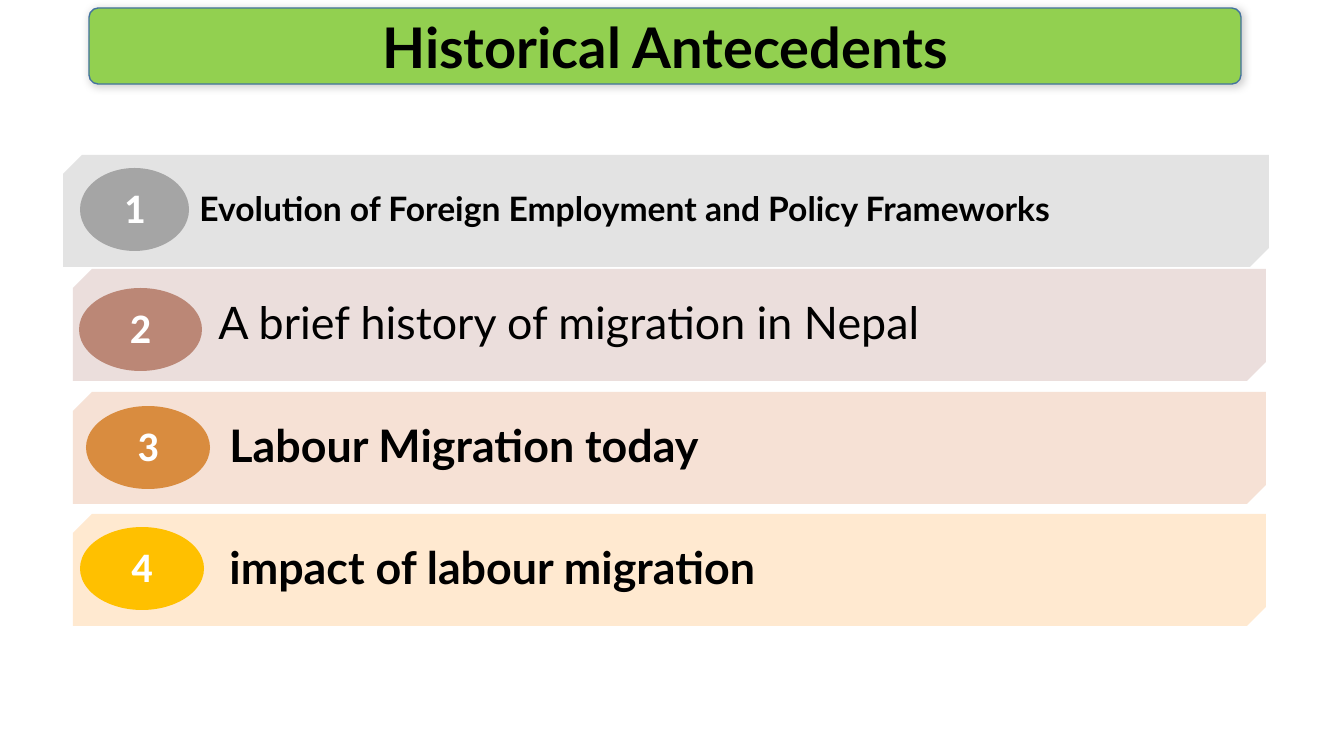
from dataclasses import dataclass

from lxml import etree
from pptx import Presentation
from pptx import util as u
from pptx.dml.color import RGBColor
from pptx.enum import shapes, text
from pptx.oxml import ns

KINDS = shapes.MSO_SHAPE
ALIGN = text.PP_ALIGN


@dataclass(frozen=True)
class Theme:
    heading: str = "Lato"
    digits: str = "Calibri"
    black: str = "000000"
    white: str = "FFFFFF"
    green: str = "92D050"
    outline: str = "43739E"
    title_size: int = 40
    large_size: int = 32
    digit_size: int = 30
    small_size: int = 24


THEME = Theme()


def px(count):
    return u.Emu(round(count * 914400 / 100.8))


class SlideBuilder:
    def __init__(self, deck, theme):
        self.theme = theme
        self.page = deck.slides.add_slide(deck.slide_layouts[6])

    def block(self, kind, place, fill, adjust=()):
        box = self.page.shapes.add_shape(kind, *map(px, place))
        box.shadow.inherit = False
        box.fill.solid()
        box.fill.fore_color.rgb = RGBColor.from_string(fill)
        box.line.fill.background()
        for index, value in enumerate(adjust):
            box.adjustments[index] = value
        return box

    def label(self, box, words, color, align=ALIGN.CENTER, inset=0, spacing=1.0, **font):
        frame = box.text_frame
        layout = dict(word_wrap=True, vertical_anchor=text.MSO_ANCHOR.MIDDLE,
                      margin_left=px(inset), margin_right=0, margin_top=0, margin_bottom=0)
        para = frame.paragraphs[0]
        span = para.add_run()
        span.text = words
        span.font.color.rgb = RGBColor.from_string(color)
        font["size"] = u.Pt(font["size"])
        formats = ((frame, layout), (para, dict(alignment=align, line_spacing=spacing)),
                   (span.font, font))
        for target, values in formats:
            for name, value in values.items():
                setattr(target, name, value)

    def soft_shadow(self, box):
        effects = box._element.spPr.find(ns.qn("a:effectLst"))
        shadow = etree.SubElement(effects, ns.qn("a:outerShdw"), blurRad=str(u.Pt(6)),
                                  dist=str(u.Pt(1)), dir="2700000", algn="tl")
        color = etree.SubElement(shadow, ns.qn("a:srgbClr"), val=self.theme.black)
        etree.SubElement(color, ns.qn("a:alpha"), val="20000")

    def title(self, words, place):
        theme = self.theme
        box = self.block(KINDS.ROUNDED_RECTANGLE, place, theme.green, [0.12])
        box.line.color.rgb = RGBColor.from_string(theme.outline)
        box.line.width = u.Pt(1)
        self.soft_shadow(box)
        self.label(box, words, theme.black, name=theme.heading, size=theme.title_size, bold=True)

    def band(self, words, place, fill, text_left, size, bold):
        snip = 0.17
        box = self.block(KINDS.SNIP_2_DIAG_RECTANGLE, place, fill, [snip, 0])
        # The text area of a snipped shape starts half a snip inside its edge
        inset = text_left - place[0] - round(place[3] * snip / 2)
        self.label(box, words, self.theme.black, ALIGN.LEFT, inset, 0.9,
                   name=self.theme.heading, size=size, bold=bold)

    def badge(self, number, place, fill):
        theme = self.theme
        box = self.block(KINDS.OVAL, place, fill)
        self.label(box, str(number), theme.white, spacing=0.9,
                   name=theme.digits, size=theme.digit_size, bold=True)


# Words, size, bold, text left, band (left, top, width, fill), badge (left, top, width, fill)
TOPICS = [
    ("Evolution of Foreign Employment and Policy Frameworks", THEME.small_size, True, 200,
     (63, 155, 1206, "E3E3E3"), (80, 168, 109, "A5A5A5")),
    ("A brief history of migration in Nepal", THEME.large_size, False, 219,
     (73, 269, 1193, "EBDEDC"), (79, 288, 123, "BB8776")),
    ("Labour Migration today", THEME.large_size, True, 230,
     (73, 392, 1193, "F6E1D5"), (86, 406, 124, "D98C3F")),
    ("impact of labour migration", THEME.large_size, True, 230,
     (73, 514, 1193, "FFE9D0"), (80, 527, 124, "FFC000")),
]
BAND_HEIGHT = 112
BADGE_HEIGHT = 83


def main():
    deck = Presentation()
    deck.slide_width, deck.slide_height = px(1344), px(756)
    slide = SlideBuilder(deck, THEME)

    # Numbered topics
    for number, (words, size, bold, text_left, band, badge) in enumerate(TOPICS, 1):
        slide.band(words, (*band[:3], BAND_HEIGHT), band[3], text_left, size, bold)
        slide.badge(number, (*badge[:3], BADGE_HEIGHT), badge[3])

    # Title bar
    slide.title("Historical Antecedents", (89, 8, 1152, 76))
    deck.save("out.pptx")


if __name__ == "__main__":
    main()
